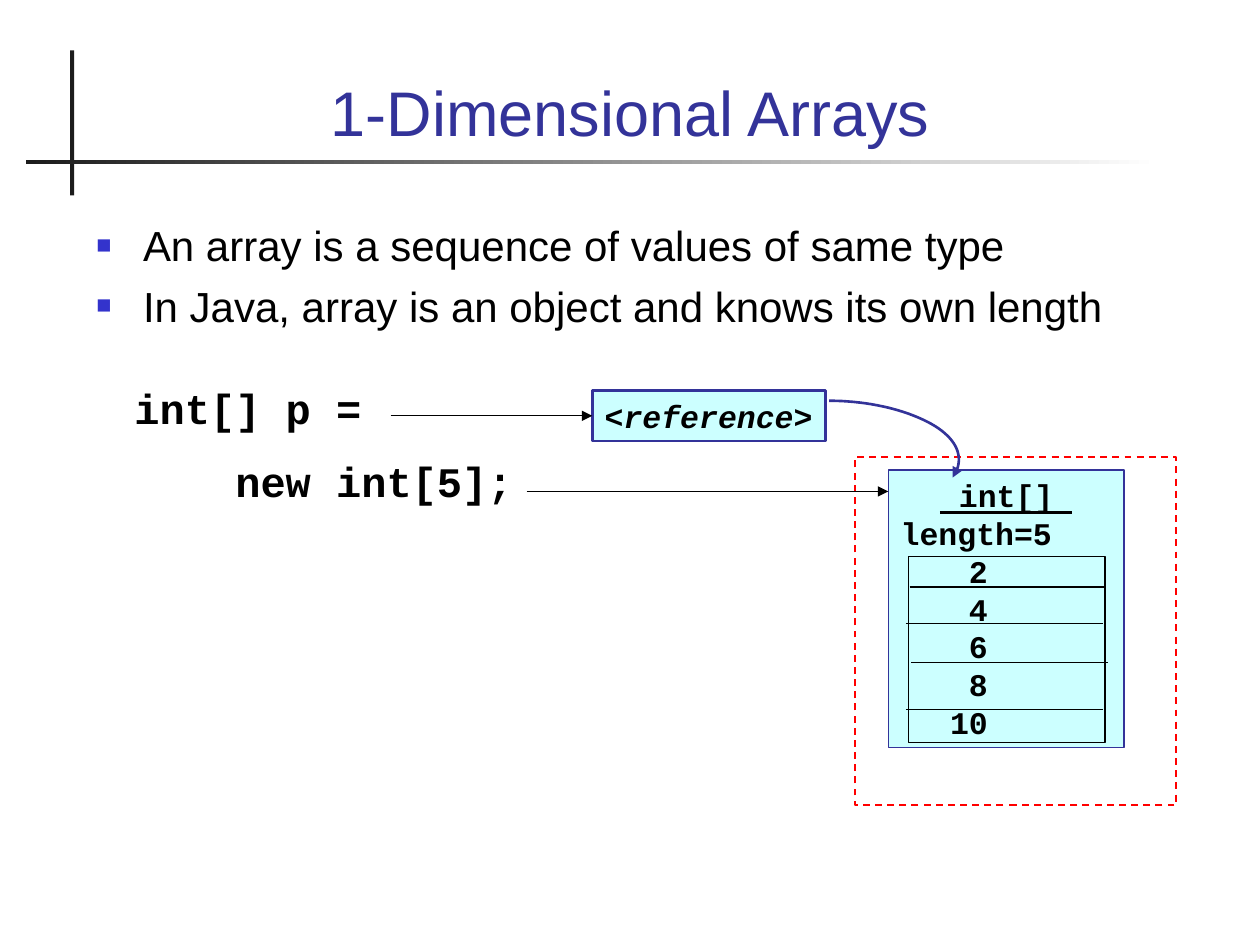
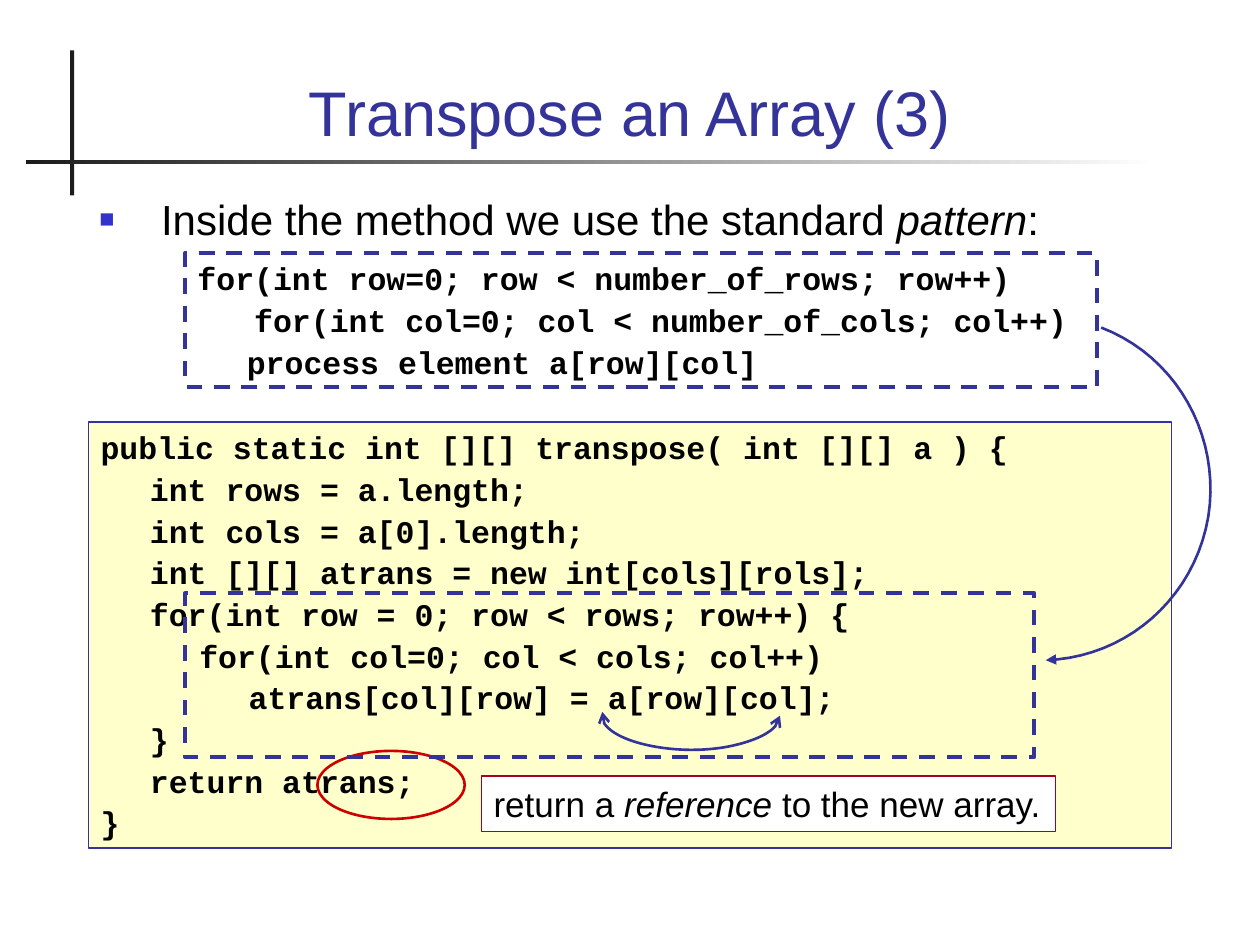
from dataclasses import dataclass
from typing import Optional

import pptx
import pptx.dml.color
import pptx.enum.dml
import pptx.enum.shapes
import pptx.enum.text
import pptx.oxml
import pptx.oxml.ns
import pptx.util

Pt = pptx.util.Pt
SHAPES = pptx.enum.shapes.MSO_SHAPE
ANCHOR = pptx.enum.text.MSO_ANCHOR
ALIGN = pptx.enum.text.PP_ALIGN

NAVY, BULLET_BLUE, CHARCOAL = "333399", "3333CC", "1C1C1C"
BLACK, WHITE, CYAN, CREAM = "000000", "FFFFFF", "CCFFFF", "FFFFCC"
RED, CRIMSON, MAROON = "FF0000", "CC0000", "A50021"
PROSE, CODE = "Arial", "Courier New"
TAB_STEP = 28.2


@dataclass(frozen=True)
class TextStyle:
    font: str
    size: float
    color: str = BLACK
    bold: bool = False
    space_before: float = 0
    bullet_indent: float = 0
    align: ALIGN = ALIGN.LEFT
    anchor: ANCHOR = ANCHOR.TOP
    wrap: bool = True


TITLE = TextStyle(PROSE, 36, NAVY, align=ALIGN.CENTER, anchor=ANCHOR.BOTTOM)
POINTS = TextStyle(PROSE, 24, space_before=6, bullet_indent=26.64)
WIDE_POINTS = TextStyle(PROSE, 24, bullet_indent=35.28)
STATEMENT = TextStyle(CODE, 24, bold=True, space_before=12.5, wrap=False)
FIELDS = TextStyle(CODE, 18, bold=True)
REFERENCE = TextStyle(CODE, 18, bold=True, wrap=False)
LISTING = TextStyle(CODE, 18, bold=True, space_before=2.2)
NOTE = TextStyle(PROSE, 20, wrap=False)


@dataclass(frozen=True)
class Box:
    left: float
    top: float
    width: float
    height: float
    fill: Optional[str] = None
    line: Optional[str] = None
    line_width: float = 0.75
    dashed: bool = False
    shape: SHAPES = SHAPES.RECTANGLE
    lines: tuple[str, ...] = ()
    style: TextStyle = FIELDS


@dataclass(frozen=True)
class Curve:
    points: tuple[tuple[float, float], ...]
    ends: tuple[tuple[str, str], ...] = (("tailEnd", "triangle"),)


def rgb(color: str) -> pptx.dml.color.RGBColor:
    return pptx.dml.color.RGBColor.from_string(color)


def add_xml(parent, tag: str, **attributes: str):
    child = pptx.oxml.parse_xml(f"<a:{tag} {pptx.oxml.ns.nsdecls('a')}/>")
    for key, value in attributes.items():
        child.set(key, value)
    parent.append(child)
    return child


def write(shape, lines: tuple[str, ...], style: TextStyle) -> None:
    frame = shape.text_frame
    frame.word_wrap = style.wrap
    frame.vertical_anchor = style.anchor
    frame.margin_left = frame.margin_right = Pt(7.2)
    frame.margin_top = frame.margin_bottom = Pt(3.6)
    for index, line in enumerate(lines):
        paragraph = frame.add_paragraph() if index else frame.paragraphs[0]
        paragraph.alignment = style.align
        paragraph.space_before = Pt(style.space_before if index else 0)
        properties = paragraph._p.get_or_add_pPr()
        if style.bullet_indent:
            properties.set("marL", str(Pt(style.bullet_indent)))
            properties.set("indent", str(-Pt(style.bullet_indent)))
            add_xml(add_xml(properties, "buClr"), "srgbClr", val=BULLET_BLUE)
            add_xml(properties, "buSzPct", val="60000")
            add_xml(properties, "buFont", typeface=PROSE)
            add_xml(properties, "buChar", char="■")
        if "\t" in line:
            stops = add_xml(properties, "tabLst")
            for stop in range(1, 8):
                add_xml(stops, "tab", pos=str(Pt(stop * TAB_STEP)), algn="l")
        for part, text in enumerate(line.split("|")):
            run = paragraph.add_run()
            run.text = text
            run.font.name = style.font
            run.font.size = Pt(style.size)
            run.font.bold = style.bold
            run.font.italic = part % 2 == 1
            run.font.color.rgb = rgb(style.color)


def draw_box(slide, box: Box):
    shape = slide.shapes.add_shape(
        box.shape, Pt(box.left), Pt(box.top), Pt(box.width), Pt(box.height))
    shape.shadow.inherit = False
    if box.fill:
        shape.fill.solid()
        shape.fill.fore_color.rgb = rgb(box.fill)
    else:
        shape.fill.background()
    if box.line:
        shape.line.color.rgb = rgb(box.line)
        shape.line.width = Pt(box.line_width)
        if box.dashed:
            shape.line.dash_style = pptx.enum.dml.MSO_LINE.DASH
    else:
        shape.line.fill.background()
    if box.lines:
        write(shape, box.lines, box.style)
    return shape


def draw_text(slide, left: float, top: float, width: float, height: float,
              lines: tuple[str, ...], style: TextStyle) -> None:
    write(slide.shapes.add_textbox(Pt(left), Pt(top), Pt(width), Pt(height)), lines, style)


def draw_line(slide, left: float, right: float, y: float, arrow: bool = False):
    connector = slide.shapes.add_connector(
        pptx.enum.shapes.MSO_CONNECTOR.STRAIGHT, Pt(left), Pt(y), Pt(right), Pt(y))
    connector.line.color.rgb = rgb(BLACK)
    connector.line.width = Pt(0.75)
    if arrow:
        add_xml(connector.line._get_or_add_ln(), "tailEnd", type="triangle")
    add_xml(connector._element.spPr, "effectLst")
    return connector


def bezier(controls: tuple[tuple[float, float], ...], t: float) -> tuple[int, int]:
    weights = ((1 - t) ** 3, 3 * t * (1 - t) ** 2, 3 * t * t * (1 - t), t ** 3)
    return (Pt(sum(w * x for w, (x, _) in zip(weights, controls))),
            Pt(sum(w * y for w, (_, y) in zip(weights, controls))))


def draw_curve(slide, curve: Curve, steps: int = 20) -> None:
    vertices = [bezier(curve.points[start:start + 4], step / steps)
                for start in range(0, len(curve.points) - 1, 3)
                for step in range(1, steps + 1)]
    start_x, start_y = curve.points[0]
    builder = slide.shapes.build_freeform(Pt(start_x), Pt(start_y))
    builder.add_line_segments(vertices, close=False)
    arc = builder.convert_to_shape()
    arc.shadow.inherit = False
    arc.fill.background()
    arc.line.color.rgb = rgb(NAVY)
    arc.line.width = Pt(1.5)
    for tag, kind in curve.ends:
        add_xml(arc.line._get_or_add_ln(), tag, type=kind)


def add_titled_slide(deck, title: str):
    slide = deck.slides.add_slide(deck.slide_layouts[6])
    draw_box(slide, Box(40.1, 28.8, 2.3, 82.8, CHARCOAL))
    rule = draw_box(slide, Box(15, 91.4, 647.3, 2.3, CHARCOAL))
    rule.fill.gradient()
    rule.fill.gradient_angle = 0
    for stop, color in zip(rule.fill.gradient_stops, (CHARCOAL, WHITE)):
        stop.color.rgb = rgb(color)
    draw_text(slide, 48, 20.2, 624, 68.4, (title,), TITLE)
    return slide


def build_arrays_slide(deck) -> None:
    slide = add_titled_slide(deck, "1-Dimensional Arrays")
    draw_text(slide, 48, 121.7, 624, 108.7, (
        "An array is a sequence of values of same type",
        "In Java, array is an object and knows its own length"), POINTS)
    draw_text(slide, 69.8, 215.3, 230.4, 118.8, ("int[] p =", "    new int[5];"), STATEMENT)

    array_object = draw_box(slide, Box(507.6, 268.6, 134.7, 158.4, CYAN, NAVY, lines=(
        " int[] ", "length=5", "\t 2", "\t 4", "\t 6", " \t 8", "\t10")))
    heading = array_object.text_frame.paragraphs[0]
    heading.alignment = ALIGN.CENTER
    heading.runs[0].font.underline = True
    draw_box(slide, Box(488.6, 261.3, 183.5, 198.8, line=RED, line_width=1, dashed=True))
    reference = draw_box(slide, Box(338.4, 223.2, 133.2, 28.8, CYAN, NAVY, 1.5,
                                    lines=("<|reference|>",), style=REFERENCE))

    draw_box(slide, Box(519.1, 317.9, 112.3, 106.6, line=BLACK))
    for left, y in ((519.8, 335.5), (517.7, 356.4), (520.6, 378.7), (517.7, 405.4)):
        draw_line(slide, left, left + 112.3, y)
    draw_line(slide, 223.2, 338.4, 237.6, arrow=True).end_connect(reference, 1)
    draw_line(slide, 301, 507.6, 280.8, arrow=True)
    draw_curve(slide, Curve((
        (473.8, 229), (497.5, 229), (519.8, 234.7), (534.2, 243.4),
        (547.9, 252), (551.5, 262.8), (544.3, 272.9))))


def build_transpose_slide(deck) -> None:
    slide = add_titled_slide(deck, "Transpose an Array (3)")
    draw_text(slide, 49.7, 107.3, 621.4, 38.9, (
        "Inside the method we use the standard |pattern|:",), WIDE_POINTS)
    method = Box(50.4, 241.2, 619.2, 243.4, CREAM, NAVY, style=LISTING, lines=(
        "public static int [][] transpose( int [][] a ) {",
        "\tint rows = a.length;",
        "\tint cols = a[0].length;",
        "\tint [][] atrans = new int[cols][rols];",
        "\tfor(int row = 0; row < rows; row++) {",
        "\t\tfor(int col=0; col < cols; col++)",
        "\t\t\tatrans[col][row] = a[row][col];",
        "\t}",
        "\treturn atrans;",
        "}"))
    pattern = Box(105.8, 144.7, 521.3, 76.3, None, NAVY, 2.25, True, style=LISTING, lines=(
        "for(int row=0; row < number_of_rows; row++)",
        "   for(int col=0; col < number_of_cols; col++)",
        "\tprocess element a[row][col]"))
    result_ring = Box(181.4, 429.1, 84.2, 38.9, line=CRIMSON, line_width=1.5,
                      shape=SHAPES.OVAL)
    result_note = Box(275, 443.5, 328.3, 31.7, WHITE, MAROON, style=NOTE,
                      lines=("return a |reference| to the new array.",))
    loops = Box(105.8, 339.1, 485.3, 93.6, line=NAVY, line_width=2.25, dashed=True)
    for box in (method, pattern, result_ring, result_note, loops):
        draw_box(slide, box)

    pattern_to_loops = Curve((
        (629.3, 187.2), (672.5, 203.8), (697.7, 249.1), (690.5, 295.2),
        (682.6, 342), (643.7, 375.8), (597.6, 377.3)))
    index_swap = Curve((
        (445.7, 409), (445.7, 416.2), (434.9, 422.6), (418.3, 426.2),
        (401.8, 429.8), (381.6, 429.1), (365.8, 424.8),
        (349.9, 420.5), (342, 413.3), (344.2, 406.8)),
        (("headEnd", "arrow"), ("tailEnd", "arrow")))
    for curve in (pattern_to_loops, index_swap):
        draw_curve(slide, curve)


def main() -> None:
    deck = pptx.Presentation()
    deck.slide_width, deck.slide_height = Pt(720), Pt(540)
    build_arrays_slide(deck)
    build_transpose_slide(deck)
    deck.save("out.pptx")


if __name__ == "__main__":
    main()
